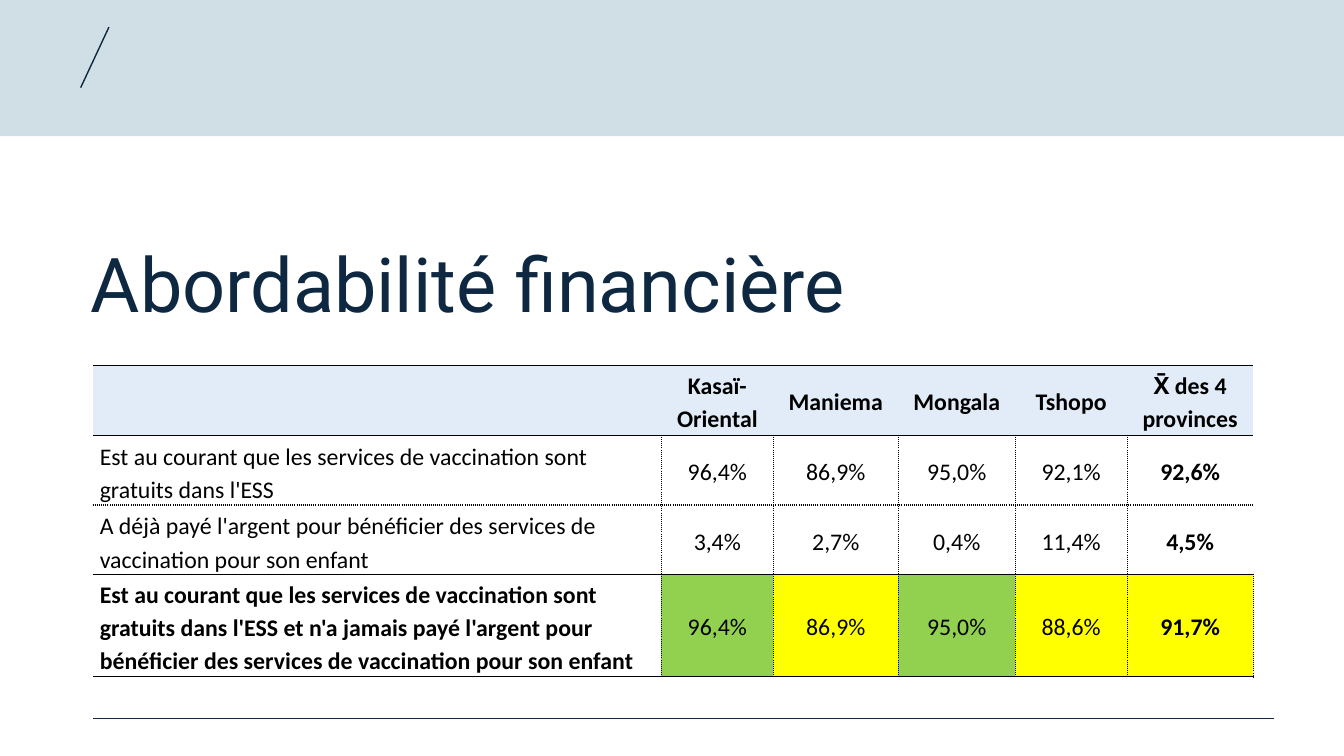
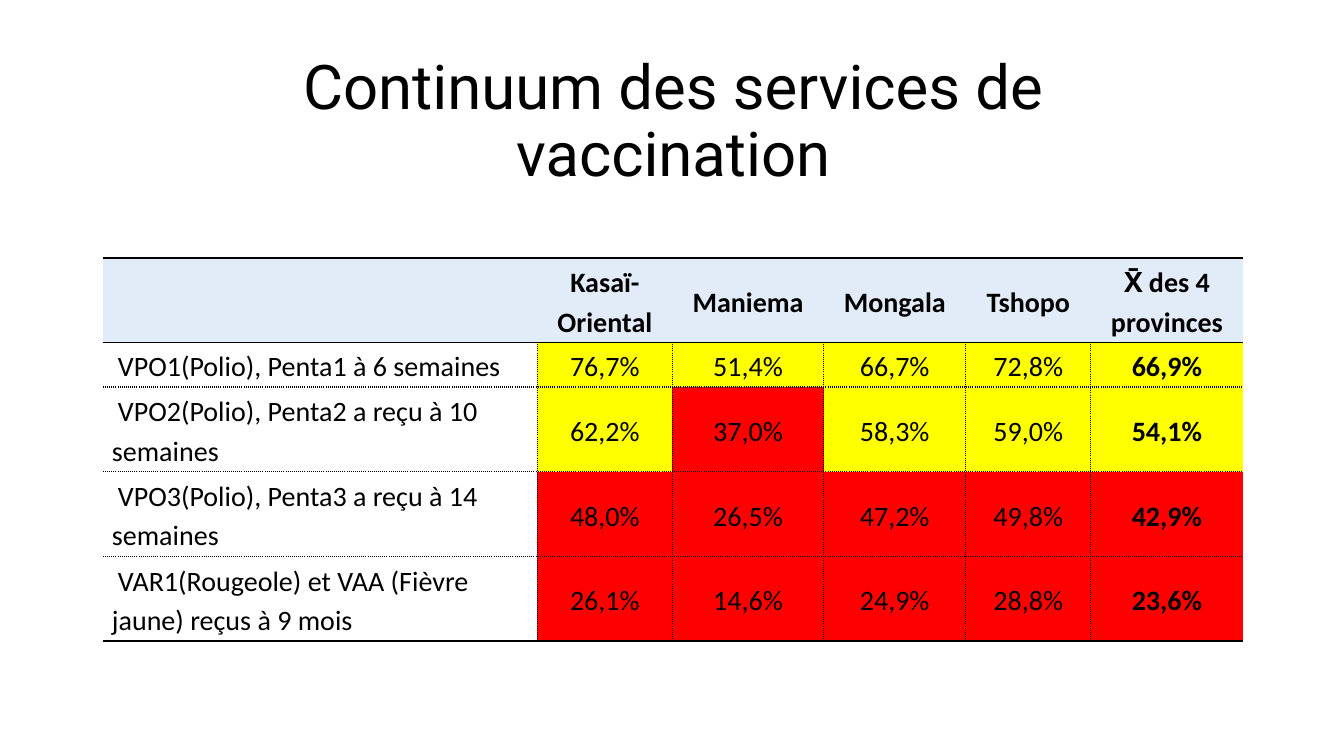
from lxml.etree import SubElement
from pptx import Presentation
from pptx.dml.color import RGBColor
from pptx.enum.shapes import MSO_CONNECTOR, MSO_SHAPE
from pptx.enum.text import MSO_ANCHOR, MSO_AUTO_SIZE, PP_ALIGN
from pptx.oxml.ns import qn
from pptx.util import Pt

PX = 9144  # 100 px to the inch
SLIDE_WIDTH, SLIDE_HEIGHT = 1333, 750

BLACK = RGBColor(0x00, 0x00, 0x00)
NAVY = RGBColor(0x0E, 0x28, 0x41)
TEAL = RGBColor(0x15, 0x60, 0x82)
HEADER_BLUE = RGBColor(0xE2, 0xEC, 0xF8)
GREEN = RGBColor(0x92, 0xD0, 0x50)
YELLOW = RGBColor(0xFF, 0xFF, 0x00)
RED = RGBColor(0xFF, 0x00, 0x00)

TITLE_FONT, TABLE_FONT = "Roboto", "Calibri"
HEADINGS = ["", "Kasaï-Oriental", "Maniema", "Mongala", "Tshopo", "X̄ des 4 provinces"]

AFFORDABILITY = [
    ("Est au courant que les services de vaccination sont gratuits dans l'ESS",
     96.4, 86.9, 95.0, 92.1, 92.6),
    ("A déjà payé l'argent pour bénéficier des services de vaccination pour son enfant",
     3.4, 2.7, 0.4, 11.4, 4.5),
    ("Est au courant que les services de vaccination sont gratuits dans l'ESS et n'a jamais "
     "payé l'argent pour bénéficier des services de vaccination pour son enfant",
     96.4, 86.9, 95.0, 88.6, 91.7),
]
CONTINUUM = [
    ("VPO1(Polio), Penta1 à 6 semaines", 76.7, 51.4, 66.7, 72.8, 66.9),
    ("VPO2(Polio), Penta2 a reçu à 10 semaines", 62.2, 37.0, 58.3, 59.0, 54.1),
    ("VPO3(Polio), Penta3 a reçu à 14 semaines", 48.0, 26.5, 47.2, 49.8, 42.9),
    ("VAR1(Rougeole) et VAA (Fièvre jaune) reçus à 9 mois", 26.1, 14.6, 24.9, 28.8, 23.6),
]


def write(frame, text, *, font, size, color=BLACK, bold=False, align=PP_ALIGN.LEFT,
          spacing=1.0, after=0, indent=0):
    """Fill a text frame with one formatted paragraph."""
    paragraph = frame.paragraphs[0]
    paragraph.alignment = align
    paragraph.line_spacing = spacing
    paragraph.space_before, paragraph.space_after = Pt(0), Pt(after)
    if indent:
        paragraph._p.get_or_add_pPr().set("indent", str(indent * PX))
    if text:
        run = paragraph.add_run()
        run.text = text
        run.font.name, run.font.size = font, Pt(size)
        run.font.bold, run.font.color.rgb = bold, color


def add_titled_slide(deck, text, box, anchor, **text_format):
    slide = deck.slides.add_slide(deck.slide_layouts[5])
    title = slide.shapes.title
    title.left, title.top, title.width, title.height = (length * PX for length in box)
    frame = title.text_frame
    frame.word_wrap, frame.auto_size = True, MSO_AUTO_SIZE.NONE
    frame.vertical_anchor = anchor
    write(frame, text, font=TITLE_FONT, spacing=0.9, **text_format)
    return slide


def add_band(slide, height):
    band = slide.shapes.add_shape(MSO_SHAPE.RECTANGLE, 0, 0, SLIDE_WIDTH * PX, height * PX)
    band.shadow.inherit = False
    band.fill.solid()
    band.fill.fore_color.rgb = TEAL
    band.line.fill.background()
    tint = band._element.spPr.find(".//" + qn("a:srgbClr"))
    SubElement(tint, qn("a:alpha"), val="20000")


def add_rule(slide, *ends):
    rule = slide.shapes.add_connector(MSO_CONNECTOR.STRAIGHT, *(end * PX for end in ends))
    rule.line.color.rgb, rule.line.width = NAVY, Pt(1)
    SubElement(rule._element.spPr, qn("a:effectLst"))


def set_borders(cell, **styles):
    """Draw each side as "solid" or "dot"; None leaves it bare."""
    properties = cell._tc.get_or_add_tcPr()
    for side in "LRTB":
        border = SubElement(properties, qn(f"a:ln{side}"), w=str(Pt(1)))
        style = styles[side]
        if style is None:
            SubElement(border, qn("a:noFill"))
        else:
            fill = SubElement(border, qn("a:solidFill"))
            SubElement(fill, qn("a:srgbClr"), val=str(BLACK))
            SubElement(border, qn("a:prstDash"), val=style)


def rating_color(rate):
    if rate >= 95:
        return GREEN
    return YELLOW if rate >= 50 else RED


def add_rate_table(slide, records, left, top, widths, heights, *, size, margin, solid_lines,
                   rated_rows, label_anchor, bold_row=None, indent=0):
    """Rows count from 0, the header; solid_lines are the row boundaries drawn unbroken."""
    rows = [HEADINGS, *records]
    table = slide.shapes.add_table(len(rows), len(widths), left * PX, top * PX,
                                   sum(widths) * PX, sum(heights) * PX).table
    table.first_row = table.horz_banding = False
    for column, width in zip(table.columns, widths):
        column.width = width * PX
    for row, height in zip(table.rows, heights):
        row.height = height * PX

    last = len(widths) - 1
    for r, record in enumerate(rows):
        for c, content in enumerate(record):
            cell = table.cell(r, c)
            header, label = r == 0, r > 0 and c == 0
            cell.margin_left = cell.margin_right = margin * PX
            cell.margin_top = cell.margin_bottom = 0
            cell.vertical_anchor = label_anchor if label else MSO_ANCHOR.MIDDLE

            # Borders come before the fill
            set_borders(
                cell,
                L=None if header or c == 0 else "dot",
                R=None if header or (c == last and r != bold_row) else "dot",
                T="solid" if r in solid_lines else "dot",
                B="solid" if r + 1 in solid_lines else "dot",
            )
            if header or (r in rated_rows and not label):
                cell.fill.solid()
                cell.fill.fore_color.rgb = HEADER_BLUE if header else rating_color(content)
            else:
                cell.fill.background()

            text = content if header or label else f"{content:.1f}%".replace(".", ",")
            write(cell.text_frame, text, font=TABLE_FONT, size=size,
                  bold=header or c == last or (label and r == bold_row),
                  align=PP_ALIGN.LEFT if label else PP_ALIGN.CENTER,
                  spacing=1.15, after=8, indent=indent if label else 0)


def build_affordability(deck):
    slide = add_titled_slide(deck, "Abordabilité financière", (80, 137, 1124, 194),
                             MSO_ANCHOR.BOTTOM, size=54, color=NAVY)
    add_band(slide, 135)
    add_rule(slide, 108, 27, 80, 87)
    add_rule(slide, 1264, 713, 92, 713)
    add_rate_table(slide, AFFORDABILITY, 92, 363, [564, 111, 124, 116, 111, 125],
                   [69, 69, 69, 101], size=17, margin=7, solid_lines={0, 1, 3, 4},
                   rated_rows={3}, label_anchor=MSO_ANCHOR.BOTTOM, bold_row=3)


def build_continuum(deck):
    slide = add_titled_slide(deck, "Continuum des services de vaccination",
                             (167, 60, 1002, 124), MSO_ANCHOR.MIDDLE,
                             size=44, align=PP_ALIGN.CENTER)
    add_rate_table(slide, CONTINUUM, 102, 256, [431, 134, 150, 141, 124, 151],
                   [84, 44, 84, 84, 84], size=20, margin=9, solid_lines={0, 1, 5},
                   rated_rows={1, 2, 3, 4}, label_anchor=MSO_ANCHOR.MIDDLE, indent=6)


def main():
    deck = Presentation()
    deck.slide_width, deck.slide_height = SLIDE_WIDTH * PX, SLIDE_HEIGHT * PX
    build_affordability(deck)
    build_continuum(deck)
    deck.save("out.pptx")


if __name__ == "__main__":
    main()
